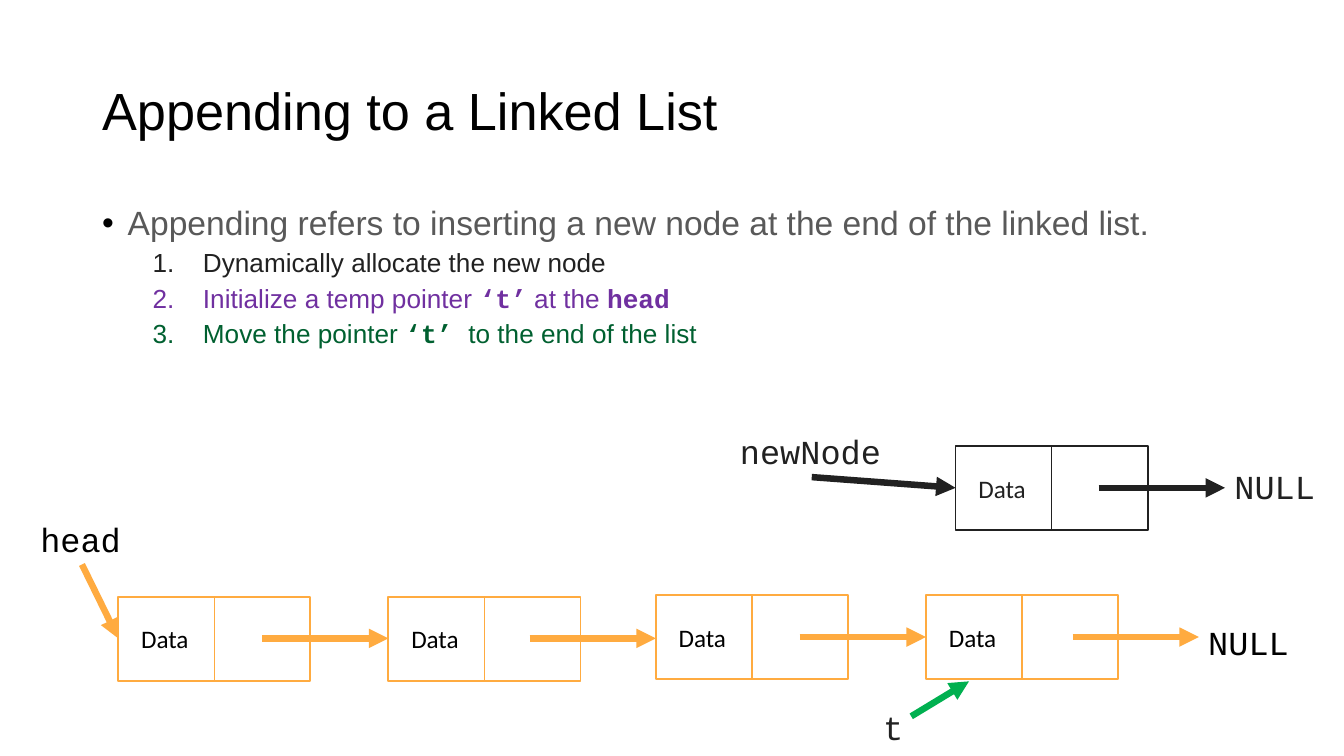
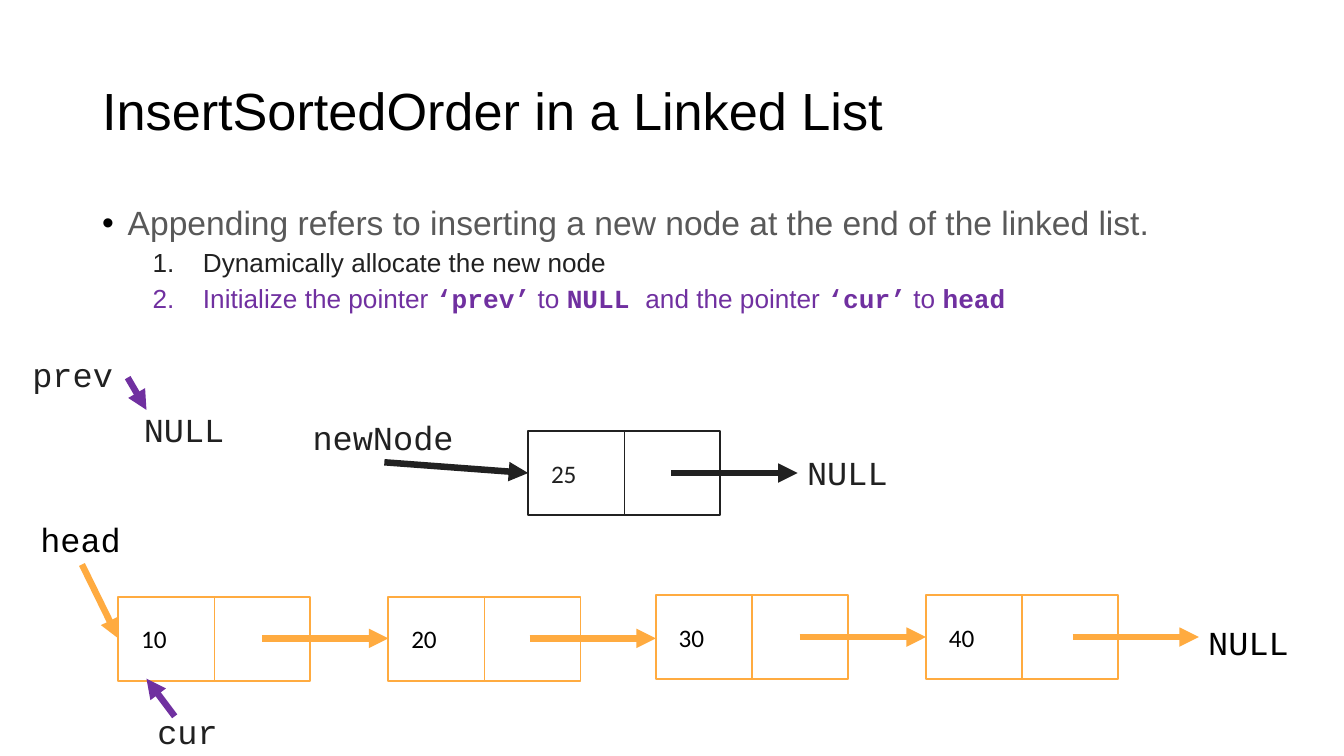
from dataclasses import dataclass

from lxml import etree
from pptx import Presentation
from pptx.dml.color import RGBColor
from pptx.enum.shapes import MSO_CONNECTOR, MSO_SHAPE
from pptx.enum.text import MSO_ANCHOR
from pptx.oxml.ns import qn
from pptx.util import Emu, Pt

RECTANGLE = MSO_SHAPE.RECTANGLE
STRAIGHT = MSO_CONNECTOR.STRAIGHT
TOP, MIDDLE = MSO_ANCHOR.TOP, MSO_ANCHOR.MIDDLE

EMU_PER_PX = 4572  # 200 px to the inch
SLIDE_W, SLIDE_H = 2000, 1125
INSET_X, INSET_Y = 14, 8


@dataclass(frozen=True)
class Theme:
    black: str = "000000"
    ink: str = "212121"
    grey: str = "595959"
    white: str = "FFFFFF"
    orange: str = "FFAB40"
    purple: str = "7030A0"
    dark_green: str = "006030"
    green: str = "00B050"
    sans: str = "Arial"
    code: str = "Courier New"
    data: str = "Calibri"
    title_size: float = 28
    lead_size: float = 18
    step_size: float = 14
    label_size: float = 18
    data_size: float = 13.5
    arrow_width: float = 3.5
    outline_width: float = 1
    divider_width: float = 0.75


THEME = Theme()

# Shared regions: left, top, width, height
TITLE_BOX = (138, 60, 1724, 218)
BODY_BOX = (138, 300, 1724, 714)
NODE_W, NODE_H = 286, 125
DIVIDER_X, LINK_Y = 143, 62
LINK_LENGTH = 188
NODE_SPOTS = [(176, 888), (578, 888), (976, 886), (1378, 886)]
LIST_END = 1784
SHORT_LABEL, LONG_LABEL = 152, 242
LABEL_H = 76


def px(value):
    return Emu(value * EMU_PER_PX)


def rgb(color):
    return RGBColor.from_string(color)


def style_run(run, font, size, color, bold=False):
    run.font.name = font
    run.font.size = Pt(size)
    run.font.color.rgb = rgb(color)
    run.font.bold = bold


def add_frame(slide, box, anchor=TOP):
    frame = slide.shapes.add_textbox(*map(px, box)).text_frame
    frame.word_wrap = True
    frame.vertical_anchor = anchor
    frame.margin_left = frame.margin_right = px(INSET_X)
    frame.margin_top = frame.margin_bottom = px(INSET_Y)
    return frame


def add_text(slide, box, text, font, size, color, anchor=TOP):
    frame = add_frame(slide, box, anchor)
    frame.text = text
    style_run(frame.paragraphs[0].runs[0], font, size, color)
    return frame


def add_label(slide, left, top, text, color=THEME.ink, width=LONG_LABEL):
    add_text(slide, (left, top, width, LABEL_H), text,
             THEME.code, THEME.label_size, color)


def add_line(slide, start, end, color, width):
    line = slide.shapes.add_connector(STRAIGHT, *map(px, (*start, *end)))
    line.line.color.rgb = rgb(color)
    line.line.width = Pt(width)
    etree.SubElement(line._element.spPr, qn("a:effectLst"))
    return line


def add_arrow(slide, start, end, color):
    arrow = add_line(slide, start, end, color, THEME.arrow_width)
    etree.SubElement(arrow.line._get_or_add_ln(), qn("a:tailEnd"), type="triangle")


def set_bullet(paragraph, color, margin, indent, tag, **marker):
    """Give a paragraph its hanging indent and coloured marker."""
    props = paragraph._p.get_or_add_pPr()
    props.set("marL", str(px(margin)))
    props.set("indent", str(px(-indent)))
    marker_color = etree.SubElement(props, qn("a:buClr"))
    etree.SubElement(marker_color, qn("a:srgbClr"), val=color)
    etree.SubElement(props, qn("a:buFont"), typeface=THEME.sans)
    etree.SubElement(props, qn(tag), **marker)


def add_title(slide, box, title):
    frame = add_text(slide, box, title, THEME.sans, THEME.title_size,
                     THEME.black, MIDDLE)
    frame.paragraphs[0].line_spacing = 0.9


def add_body(slide, box, lead, steps):
    """Lead bullet and numbered steps; every second part of a step is code."""
    frame = add_text(slide, box, lead, THEME.sans, THEME.lead_size, THEME.grey)
    bullet = frame.paragraphs[0]
    bullet.line_spacing = 0.9
    set_bullet(bullet, THEME.black, 38, 38, "a:buChar", char="•")
    for color, *parts in steps:
        step = frame.add_paragraph()
        step.level = 1
        step.line_spacing = 0.9
        step.space_before = Pt(3.8)
        set_bullet(step, color, 150, 75, "a:buAutoNum", type="arabicPeriod")
        for index, part in enumerate(parts):
            is_code = index % 2 == 1
            run = step.add_run()
            run.text = part
            style_run(run, THEME.code if is_code else THEME.sans,
                      THEME.step_size, color, is_code)


def add_node(slide, left, top, value, line_color, text_color):
    cell = slide.shapes.add_shape(
        RECTANGLE, *map(px, (left, top, NODE_W, NODE_H)))
    cell.shadow.inherit = False
    cell.fill.solid()
    cell.fill.fore_color.rgb = rgb(THEME.white)
    cell.line.color.rgb = rgb(line_color)
    cell.line.width = Pt(THEME.outline_width)
    divider = left + DIVIDER_X
    add_line(slide, (divider, top), (divider, top + NODE_H),
             line_color, THEME.divider_width)
    add_text(slide, (left + 20, top + 32, 102, 60), value,
             THEME.data, THEME.data_size, text_color)


def add_link(slide, end, top, color):
    y = top + LINK_Y
    add_arrow(slide, (end - LINK_LENGTH, y), (end, y), color)


def add_linked_list(slide, spots, values):
    """Chain of nodes from the head label to NULL."""
    for (left, top), value in zip(spots, values):
        add_node(slide, left, top, value, THEME.orange, THEME.black)
    ends = [left for left, _ in spots[1:]] + [LIST_END]
    for (_, top), end in zip(spots, ends):
        add_link(slide, end, top, THEME.orange)
    add_label(slide, LIST_END, spots[-1][1] + 32, "NULL", THEME.black, SHORT_LABEL)
    left, top = spots[0]
    add_label(slide, left - 130, top - 124, "head", THEME.black, SHORT_LABEL)
    add_arrow(slide, (left - 54, top - 48), (left, top + LINK_Y), THEME.orange)


def add_new_node(slide, left, top, value):
    """Detached node with its newNode pointer and NULL link."""
    end = left + 401
    add_node(slide, left, top, value, THEME.ink, THEME.ink)
    add_link(slide, end, top, THEME.ink)
    add_label(slide, end, top + 22, "NULL", width=SHORT_LABEL)
    add_label(slide, left - 335, top - 30, "newNode")
    add_arrow(slide, (left - 214, top + 46), (left, top + LINK_Y), THEME.ink)


def add_list_slide(deck, title, steps, values, new_node):
    slide = deck.slides.add_slide(deck.slide_layouts[6])
    slide.background.fill.solid()
    slide.background.fill.fore_color.rgb = rgb(THEME.white)
    add_title(slide, TITLE_BOX, title)
    add_body(
        slide, BODY_BOX,
        "Appending refers to inserting a new node at the end of the linked list.",
        [(THEME.ink, "Dynamically allocate the new node"), *steps])
    add_linked_list(slide, NODE_SPOTS, values)
    add_new_node(slide, *new_node)
    return slide


def add_append_slide(deck):
    slide = add_list_slide(
        deck, "Appending to a Linked List",
        [(THEME.purple, "Initialize a temp pointer ", "‘t’", " at the ", "head"),
         (THEME.dark_green, "Move the pointer ", "‘t’ ", "to the end of the list")],
        ["Data"] * len(NODE_SPOTS), (1422, 664, "Data"))
    # Temp pointer at the last node
    add_label(slide, 1300, 1044, "t")
    add_arrow(slide, (1356, 1066), (1442, 1014), THEME.green)


def add_sorted_insert_slide(deck):
    slide = add_list_slide(
        deck, "InsertSortedOrder in a Linked List",
        [(THEME.purple, "Initialize the pointer ", "‘prev’", " to ", "NULL ",
          "and the pointer ", "‘cur’", " to ", "head")],
        ["10", "20", "30", "40"], (786, 642, "25"))
    # prev starts at NULL
    add_label(slide, 34, 518, "prev")
    add_arrow(slide, (190, 562), (218, 610), THEME.purple)
    add_label(slide, 200, 600, "NULL", width=SHORT_LABEL)
    # cur starts at the first node
    add_label(slide, 220, 1050, "cur")
    add_arrow(slide, (260, 1066), (218, 1010), THEME.purple)


def main():
    deck = Presentation()
    deck.slide_width, deck.slide_height = px(SLIDE_W), px(SLIDE_H)
    add_append_slide(deck)
    add_sorted_insert_slide(deck)
    deck.save("out.pptx")


if __name__ == "__main__":
    main()
